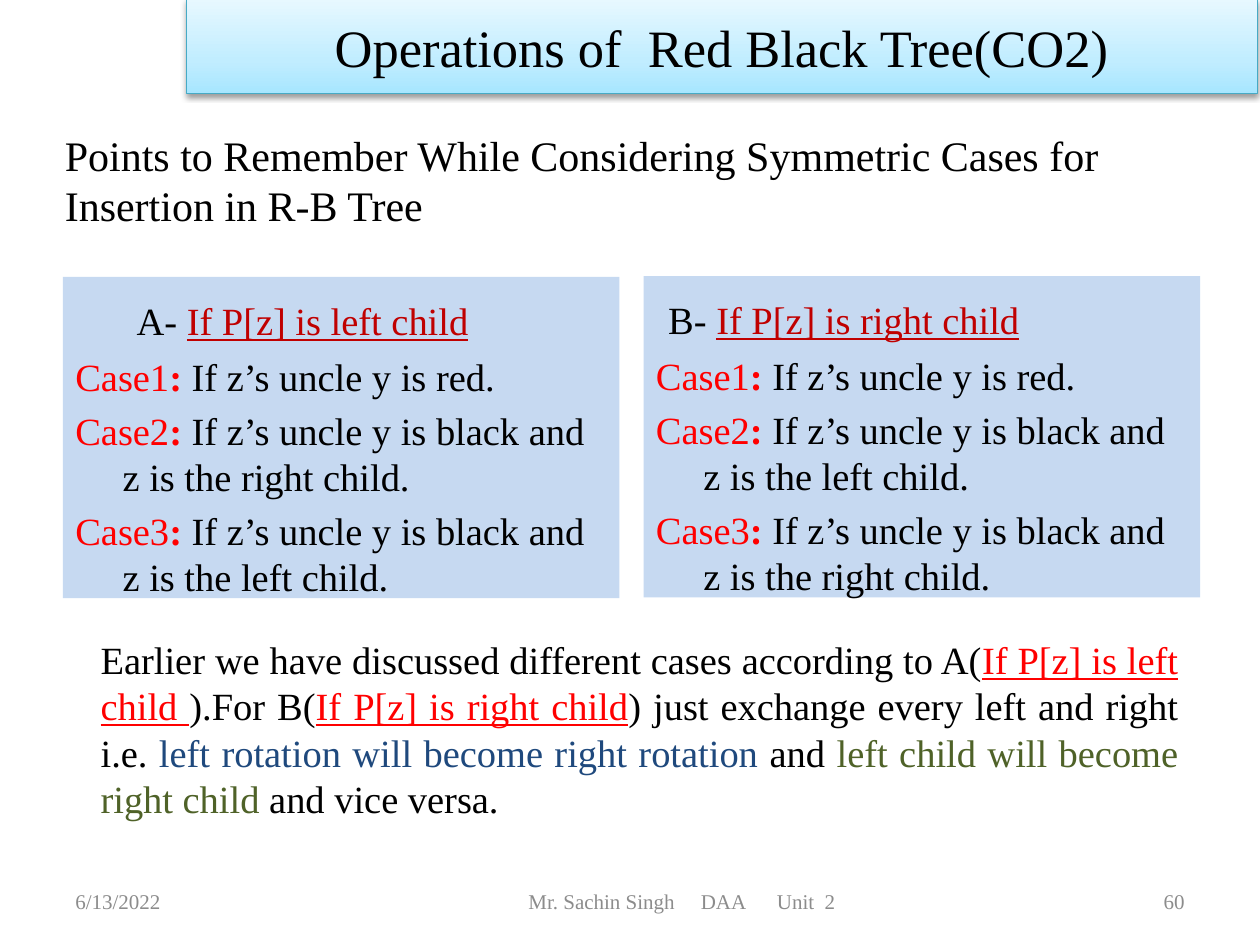
import dataclasses
import pptx
import pptx.util
import pptx.dml.color
import pptx.enum.shapes
import pptx.enum.text
import pptx.oxml
import pptx.oxml.ns

Pt = pptx.util.Pt
Align = pptx.enum.text.PP_ALIGN
Anchor = pptx.enum.text.MSO_ANCHOR
Rect = pptx.enum.shapes.MSO_SHAPE.RECTANGLE


@dataclasses.dataclass(frozen=True)
class Theme:
    font: str = "Times New Roman"
    black: str = "000000"
    red: str = "FF0000"
    dark: str = "C00000"
    blue: str = "1F497D"
    green: str = "4F6228"
    gray: str = "8C8C8C"
    panel: str = "C6D9F1"
    edge: str = "46AAC5"
    fade: tuple = ((0, "A7E6FF"), (35, "C1EDFF"), (100, "E7F8FF"))
    banner: int = 30
    head: int = 24
    body: int = 22
    foot: int = 12


T = Theme()


def paint(color):
    return pptx.dml.color.RGBColor.from_string(color)


def apply(item, **values):
    for name, value in values.items():
        setattr(item, name, value)


def add_xml(parent, body):
    space = pptx.oxml.ns.nsdecls("a")
    tag, rest = body.split(" ", 1)
    node = pptx.oxml.parse_xml(f"<{tag} {space} {rest}")
    parent.append(node)


def write(para, runs, size, align=Align.LEFT, **form):
    apply(para, alignment=align, **form)
    for text, color, *marks in runs:
        run = para.add_run()
        run.text = text
        apply(run.font, name=T.font, size=Pt(size),
              bold="b" in marks, underline="u" in marks)
        run.font.color.rgb = paint(color)


def frame(shape, anchor=Anchor.TOP, **form):
    apply(shape.text_frame, word_wrap=True, vertical_anchor=anchor, **form)
    return shape.text_frame


def label(slide, box, runs, size, align=Align.LEFT, anchor=Anchor.MIDDLE, **form):
    text = frame(slide.shapes.add_textbox(*map(Pt, box)), anchor, **form)
    write(text.paragraphs[0], runs, size, align)
    return text.paragraphs[0]


def block(slide, box):
    shape = slide.shapes.add_shape(Rect, *map(Pt, box))
    shape.shadow.inherit = False
    return shape


def banner(slide, box, title):
    shape = block(slide, box)
    shape.fill.gradient()
    shape.fill.gradient_angle = 90
    stops = shape._element.spPr.find(pptx.oxml.ns.qn("a:gradFill")).find(
        pptx.oxml.ns.qn("a:gsLst"))
    for stop in list(stops):
        stops.remove(stop)
    for place, color in T.fade:
        add_xml(stops, f'a:gs pos="{place * 1000}">'
                       f'<a:srgbClr val="{color}"/></a:gs>')
    shape.line.color.rgb = paint(T.edge)
    shape.line.width = Pt(0.75)
    glow = shape._element.spPr.find(pptx.oxml.ns.qn("a:effectLst"))
    add_xml(glow, 'a:outerShdw blurRad="40000" dist="20000" dir="5400000" '
                  'rotWithShape="0"><a:srgbClr val="000000">'
                  '<a:alpha val="38000"/></a:srgbClr></a:outerShdw>')
    text = frame(shape, Anchor.MIDDLE)
    write(text.paragraphs[0], [(title, T.black)], T.banner, Align.CENTER)


def panel(slide, box, mark, side, shift, cases):
    shape = block(slide, box)
    shape.fill.solid()
    shape.fill.fore_color.rgb = paint(T.panel)
    shape.line.fill.background()
    text = frame(shape, margin_top=Pt(11.5))
    para = text.paragraphs[0]
    para._p.get_or_add_pPr().set("marL", str(Pt(shift)))
    write(para, [(f"{mark}- ", T.black), (f"If P[z] is {side} child", T.dark, "u")],
          T.body, space_after=Pt(1.2))
    for count, case in enumerate(cases, 1):
        para = text.add_paragraph()
        form = para._p.get_or_add_pPr()
        form.set("marL", str(Pt(27)))
        form.set("indent", str(-Pt(27)))
        write(para, [(f"Case{count}", T.red), (": ", T.red, "b"),
                     (f"If z’s uncle y is {case}.", T.black)],
              T.body, space_before=Pt(4.4))


def footer(slide, box, date, parts, page):
    left, top, width, height = box
    side = 168
    label(slide, (left, top, side, height), [(date, T.gray)], T.foot)
    label(slide, (left + width - side, top, side, height),
          [(page, T.gray)], T.foot, Align.RIGHT)
    para = label(slide, (left + 210, top, 288, height), [], T.foot,
                 margin_left=Pt(56))
    tabs = "".join(f'<a:tab pos="{Pt(stop)}" algn="l"/>' for stop in (98.5, 142))
    add_xml(para._p.get_or_add_pPr(), f"a:tabLst >{tabs}</a:tabLst>")
    write(para, [("\t".join(parts), T.gray)], T.foot)


def main():
    deck = pptx.Presentation()
    apply(deck, slide_width=Pt(720), slide_height=Pt(540))
    slide = deck.slides.add_slide(deck.slide_layouts[6])
    label(slide, (30, 65.5, 648, 74),
          [("Points to Remember While Considering Symmetric Cases for "
            "Insertion in R-B Tree", T.black)], T.head)
    near, far = "black and z is the left child", "black and z is the right child"
    panel(slide, (36, 158.2, 318, 183.6), "A", "left", 35, ("red", far, near))
    panel(slide, (367.8, 157.8, 318, 183.6), "B", "right", 7, ("red", near, far))
    label(slide, (50.4, 360, 630, 114), [
        ("Earlier we have discussed different cases according to A(", T.black),
        ("If P[z] is left child ", T.red, "u"),
        (").For B(", T.black),
        ("If P[z] is right child", T.red, "u"),
        (") just exchange every left and right i.e. ", T.black),
        ("left rotation will become right rotation", T.blue),
        (" and ", T.black),
        ("left child will become right child", T.green),
        (" and vice versa.", T.black),
    ], T.body, Align.JUSTIFY, Anchor.TOP)
    footer(slide, (36, 500.5, 648, 28.8), "6/13/2022",
           ("Mr. Sachin Singh", "DAA", "Unit  2"), "60")
    banner(slide, (106.5, -0.5, 612, 54), "Operations of  Red Black Tree(CO2)")
    deck.save("out.pptx")


if __name__ == "__main__":
    main()
